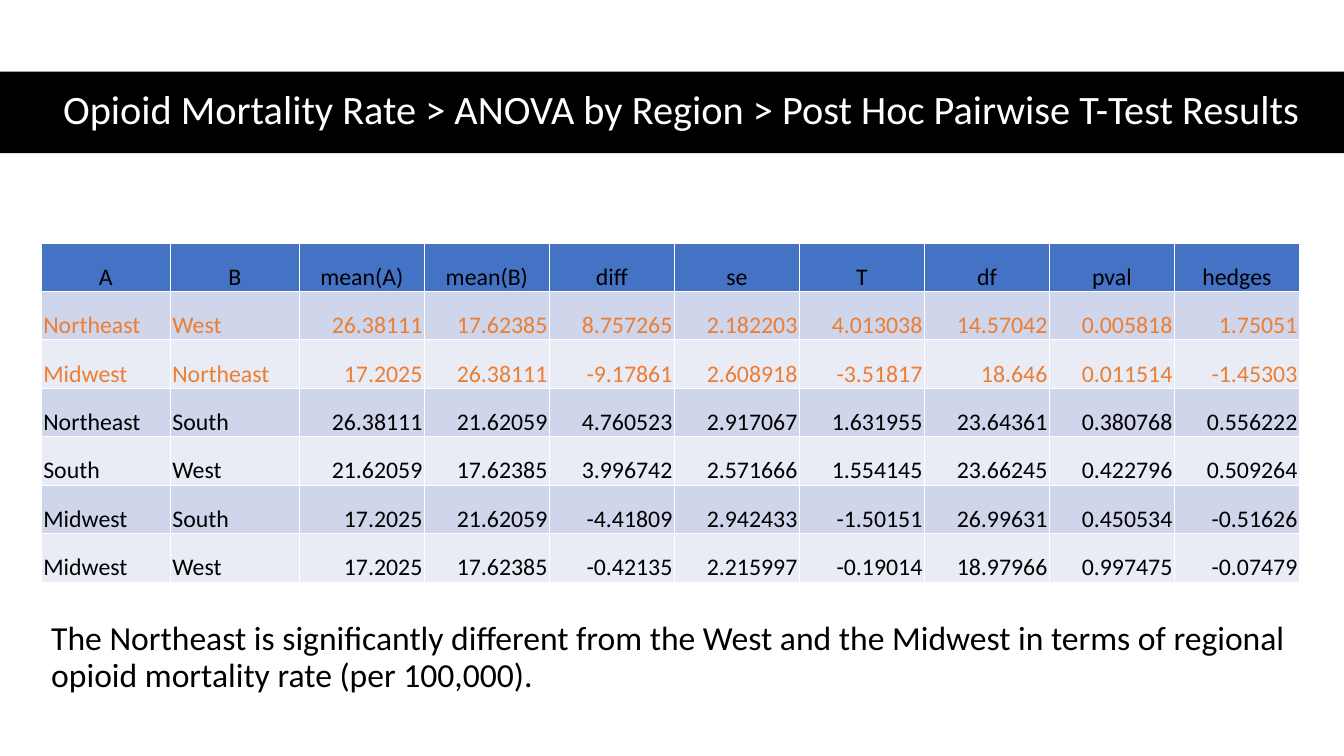
from pptx import Presentation
from pptx.dml.color import RGBColor
from pptx.enum.shapes import MSO_SHAPE
from pptx.enum.text import MSO_ANCHOR, MSO_AUTO_SIZE, PP_ALIGN
from pptx.util import Inches, Pt

HEADER_FILL = "4472C4"
BAND_FILLS = ["CFD5EA", "E9EBF5"]
BLACK, WHITE, HIGHLIGHT = "000000", "FFFFFF", "ED7D31"
SIGNIFICANCE_LEVEL = 0.05

HEADERS = ["A", "B", "mean(A)", "mean(B)", "diff", "se", "T", "df", "pval", "hedges"]
RESULTS = [
    ["Northeast", "West", "26.38111", "17.62385", "8.757265",
     "2.182203", "4.013038", "14.57042", "0.005818", "1.75051"],
    ["Midwest", "Northeast", "17.2025", "26.38111", "-9.17861",
     "2.608918", "-3.51817", "18.646", "0.011514", "-1.45303"],
    ["Northeast", "South", "26.38111", "21.62059", "4.760523",
     "2.917067", "1.631955", "23.64361", "0.380768", "0.556222"],
    ["South", "West", "21.62059", "17.62385", "3.996742",
     "2.571666", "1.554145", "23.66245", "0.422796", "0.509264"],
    ["Midwest", "South", "17.2025", "21.62059", "-4.41809",
     "2.942433", "-1.50151", "26.99631", "0.450534", "-0.51626"],
    ["Midwest", "West", "17.2025", "17.62385", "-0.42135",
     "2.215997", "-0.19014", "18.97966", "0.997475", "-0.07479"],
]


def set_fill(target, color):
    target.fill.solid()
    target.fill.fore_color.rgb = RGBColor.from_string(color)


def format_paragraph(paragraph, size, color, alignment):
    paragraph.alignment = alignment
    paragraph.font.name = "Calibri"
    paragraph.font.size = Pt(size)
    paragraph.font.bold = False
    paragraph.font.color.rgb = RGBColor.from_string(color)


presentation = Presentation()
presentation.slide_width = Inches(13.33)
presentation.slide_height = Inches(7.5)
slide = presentation.slides.add_slide(presentation.slide_layouts[5])

# Title on a black bar
title = slide.shapes.title
title.left, title.top = Inches(0.41), Inches(0.7)
title.width, title.height = Inches(12.7), Inches(0.81)
title.text_frame.text = (
    "Opioid Mortality Rate > ANOVA by Region > Post Hoc Pairwise T-Test Results"
)
title.text_frame.auto_size = MSO_AUTO_SIZE.NONE
title.text_frame.vertical_anchor = MSO_ANCHOR.MIDDLE
title_paragraph = title.text_frame.paragraphs[0]
title_paragraph.line_spacing = 0.9
format_paragraph(title_paragraph, 28.8, WHITE, PP_ALIGN.CENTER)

title_bar = slide.shapes.add_shape(
    MSO_SHAPE.RECTANGLE, 0, Inches(0.71), presentation.slide_width, Inches(0.81)
)
title_bar.shadow.inherit = False
set_fill(title_bar, BLACK)
title_bar.line.fill.background()
title.element.addprevious(title_bar.element)

# Pairwise test results
table = slide.shapes.add_table(
    len(RESULTS) + 1, len(HEADERS), Inches(0.41), Inches(2.41), Inches(12.5), Inches(3.37)
).table
for column_index, column in enumerate(table.columns):
    column.width = Inches(1.28 if column_index < 2 else 1.24)

for row_index, values in enumerate([HEADERS] + RESULTS):
    is_header = row_index == 0
    if is_header:
        fill, color = HEADER_FILL, BLACK
    else:
        fill = BAND_FILLS[(row_index - 1) % 2]
        p_value = float(values[HEADERS.index("pval")])
        color = HIGHLIGHT if p_value < SIGNIFICANCE_LEVEL else BLACK
    for column_index, value in enumerate(values):
        cell = table.cell(row_index, column_index)
        cell.text = value
        cell.vertical_anchor = MSO_ANCHOR.BOTTOM
        cell.margin_left = cell.margin_right = cell.margin_top = Inches(0.02)
        cell.margin_bottom = 0
        set_fill(cell, fill)
        if is_header:
            alignment = PP_ALIGN.CENTER
        else:
            alignment = PP_ALIGN.LEFT if column_index < 2 else PP_ALIGN.RIGHT
        format_paragraph(cell.text_frame.paragraphs[0], 17, color, alignment)

# Conclusion
conclusion = slide.shapes.add_textbox(
    Inches(0.41), Inches(6.12), Inches(12.5), Inches(1.06)
).text_frame
conclusion.word_wrap = True
conclusion.text = (
    "The Northeast is significantly different from the West and the Midwest "
    "in terms of regional opioid mortality rate (per 100,000)."
)
conclusion_paragraph = conclusion.paragraphs[0]
conclusion_paragraph.line_spacing = 0.9
conclusion_paragraph.space_before = Pt(10)
format_paragraph(conclusion_paragraph, 24, BLACK, PP_ALIGN.LEFT)

presentation.save("out.pptx")
